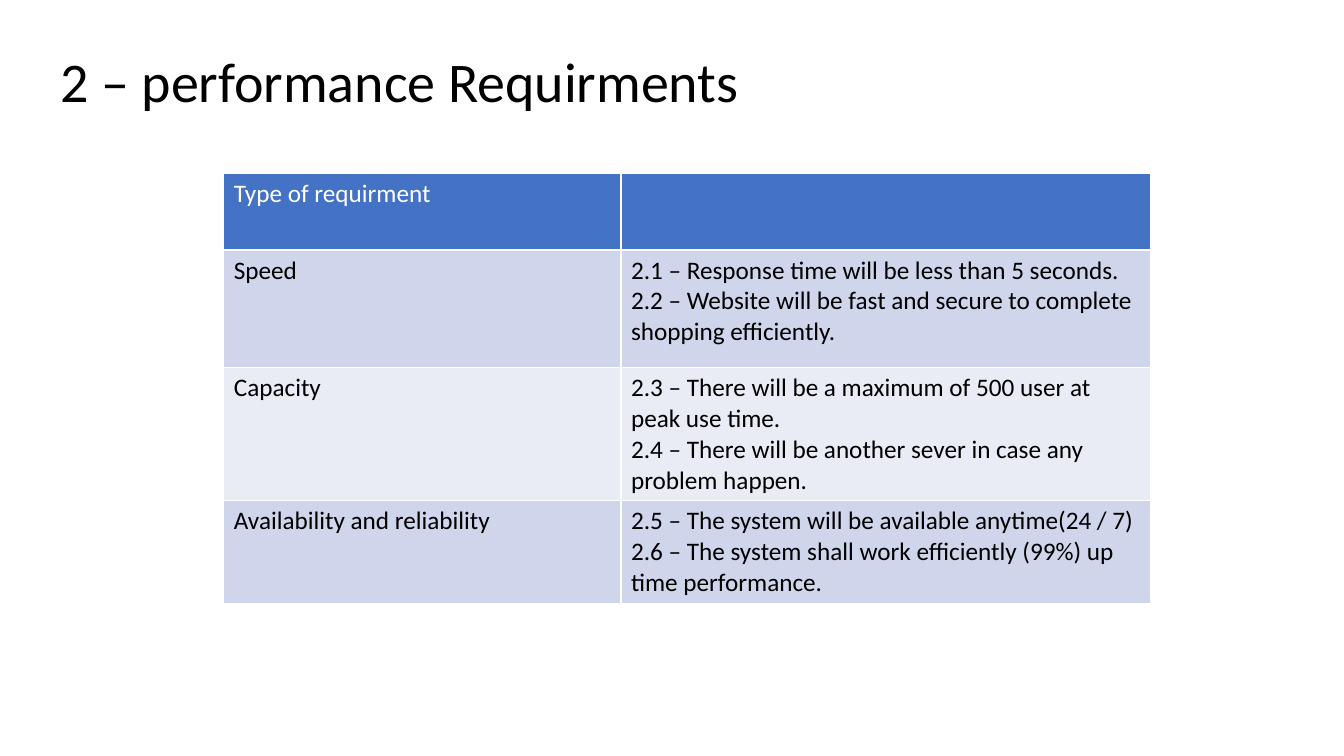
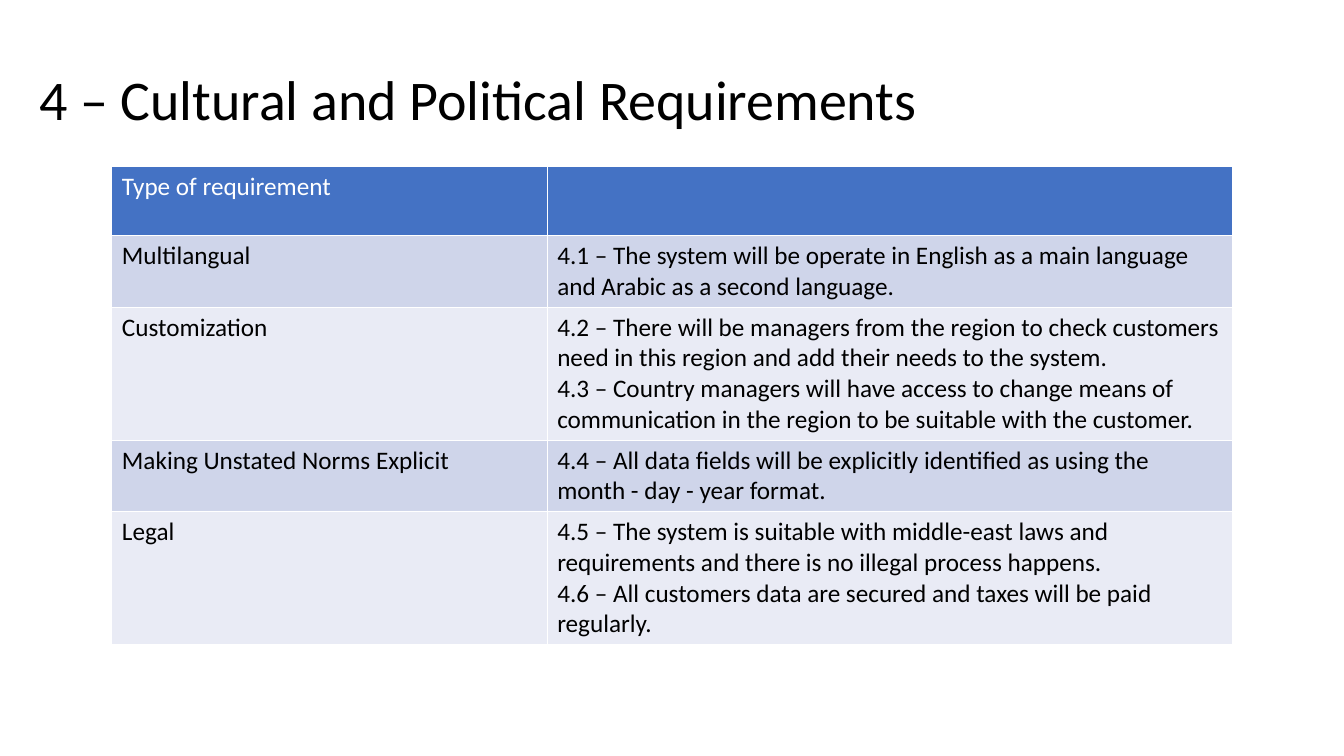
from pptx import Presentation
from pptx.dml.color import RGBColor
from pptx.enum.text import MSO_ANCHOR
from pptx.util import Cm, Pt

MIDDLE = MSO_ANCHOR.MIDDLE
BLACK = RGBColor(0x00, 0x00, 0x00)
WHITE = RGBColor(0xFF, 0xFF, 0xFF)
BLUE = RGBColor(0x44, 0x72, 0xC4)
BANDS = (RGBColor(0xCF, 0xD5, 0xEA), RGBColor(0xE9, 0xEB, 0xF5))
FONT = "Calibri"

PAGES = [
    {
        "title": "2 – performance Requirments",
        "spot": (1.27, 0.28),
        "origin": (5.64, 4.37),
        "cols": (10.01, 13.34),
        "heights": (1.93, 2.97, 3.35, 2.59),
        "rows": [
            ("Type of requirment", []),
            ("Speed", [
                "2.1 – Response time will be less than 5 seconds.",
                "2.2 – Website will be fast and secure to complete shopping efficiently.",
            ]),
            ("Capacity", [
                "2.3 – There will be a maximum of 500 user at peak use time.",
                "2.4 – There will be another sever in case any problem happen.",
            ]),
            ("Availability and reliability", [
                "2.5 – The system will be available anytime(24 / 7)",
                "2.6 – The system shall work efficiently (99%) up time performance.",
            ]),
        ],
    },
    {
        "title": "4 – Cultural and Political Requirements",
        "spot": (0.74, 0.74),
        "origin": (2.82, 4.19),
        "cols": (10.97, 17.27),
        "heights": (1.75, 1.8, 3.35, 1.8, 3.35),
        "rows": [
            ("Type of requirement", []),
            ("Multilangual", [
                "4.1 – The system will be operate in English as a main language and Arabic as a second language.",
            ]),
            ("Customization", [
                "4.2 – There will be managers from the region to check customers need in this region and add their needs to the system.",
                "4.3 – Country managers will have access to change means of communication in the region to be suitable with the customer.",
            ]),
            ("Making Unstated Norms Explicit", [
                "4.4 – All data fields will be explicitly identified as using the month - day - year format.",
            ]),
            ("Legal", [
                "4.5 – The system is suitable with middle-east laws and requirements and there is no illegal process happens.",
                "4.6 – All customers data are secured and taxes will be paid regularly.",
            ]),
        ],
    },
]


def write(frame, lines, size, color):
    frame.text = "\n".join(lines)
    for para in frame.paragraphs:
        font = para.font
        font.name, font.size, font.bold = FONT, Pt(size), False
        font.color.rgb = color


def add_title(slide, text, spot):
    left, top = spot
    box = slide.shapes.add_textbox(Cm(left), Cm(top), Cm(29.21), Cm(3.68))
    frame = box.text_frame
    frame.word_wrap = True
    frame.vertical_anchor = MIDDLE
    write(frame, [text], 40, BLACK)
    frame.paragraphs[0].line_spacing = 0.9


def add_grid(slide, page):
    rows, cols, heights = page["rows"], page["cols"], page["heights"]
    left, top = page["origin"]
    grid = slide.shapes.add_table(
        len(rows), len(cols), Cm(left), Cm(top), Cm(sum(cols)), Cm(sum(heights))
    ).table
    for col, width in zip(grid.columns, cols):
        col.width = Cm(width)
    for num, (kind, needs) in enumerate(rows):
        grid.rows[num].height = Cm(heights[num])
        fill = BANDS[(num - 1) % 2] if num else BLUE
        color = BLACK if num else WHITE
        for cell, lines in zip(grid.rows[num].cells, ([kind], needs)):
            cell.fill.solid()
            cell.fill.fore_color.rgb = fill
            write(cell.text_frame, lines, 18, color)


def main():
    deck = Presentation()
    deck.slide_width, deck.slide_height = Cm(33.87), Cm(19.05)
    blank = deck.slide_layouts[6]
    for page in PAGES:
        slide = deck.slides.add_slide(blank)
        add_title(slide, page["title"], page["spot"])
        add_grid(slide, page)
    deck.save("out.pptx")


if __name__ == "__main__":
    main()
